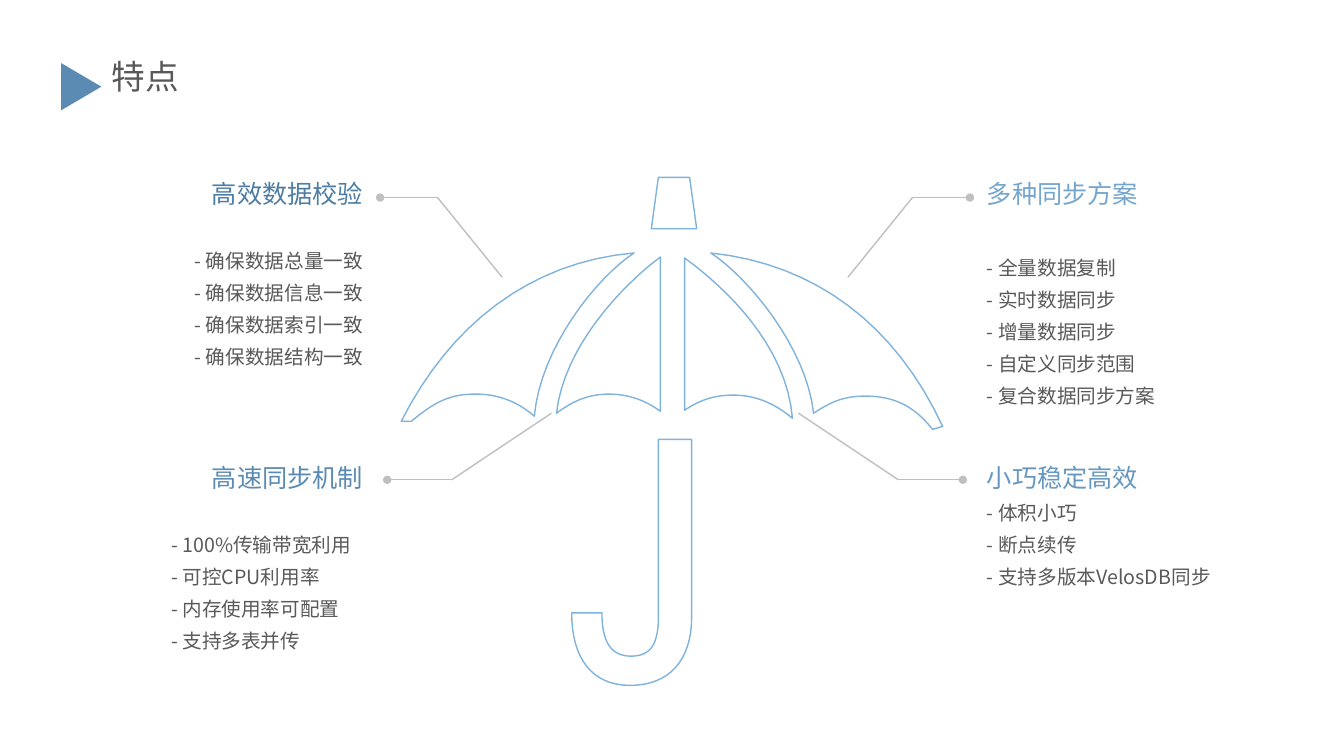
from dataclasses import dataclass

from lxml import etree
from pptx import Presentation
from pptx.dml.color import RGBColor
from pptx.enum.shapes import MSO_CONNECTOR, MSO_SHAPE
from pptx.enum.text import MSO_ANCHOR, PP_ALIGN
from pptx.oxml.ns import qn
from pptx.util import Inches, Pt


@dataclass(frozen=True)
class Theme:
    font: str = "Noto Sans CJK SC"
    paper: str = "FFFFFF"
    body: str = "595959"
    accent: str = "5B8BB2"
    outline: str = "80B3DB"
    leader: str = "BFBFBF"
    title_size: int = 24
    heading_size: int = 18
    item_size: int = 14
    line_height: float = 1.2
    space_before: int = 6
    stroke: int = 1


@dataclass(frozen=True)
class Box:
    left: float
    top: float
    width: float
    height: float


@dataclass(frozen=True)
class Feature:
    heading: str
    items: tuple
    color: str
    box: Box
    on_left: bool
    reach: tuple
    drops: tuple
    gap: float = 0
    item_align: PP_ALIGN = PP_ALIGN.LEFT
    item_indent: float = 0


THEME = Theme()

UPPER_REACH, UPPER_DROPS = (0.07, 0.64, 1.28), (0.24, 1.03)
LOWER_REACH, LOWER_DROPS = (0.14, 0.78, 1.77), (0.22, -0.44)

FEATURES = (
    Feature("高效数据校验",
            ("- 确保数据总量一致", "- 确保数据信息一致", "- 确保数据索引一致", "- 确保数据结构一致"),
            "4E7DA3", Box(0.6, 1.72, 3.1, 2), True, UPPER_REACH, UPPER_DROPS,
            gap=22.8, item_align=PP_ALIGN.RIGHT),
    Feature("高速同步机制",
            ("- 100%传输带宽利用", "- 可控CPU利用率", "- 内存使用率可配置", "- 支持多表并传"),
            "5B8BB2", Box(0.6, 4.54, 3.1, 2), True, LOWER_REACH, LOWER_DROPS,
            gap=22.8, item_indent=1),
    Feature("多种同步方案",
            ("- 全量数据复制", "- 实时数据同步", "- 增量数据同步", "- 自定义同步范围", "- 复合数据同步方案"),
            "74A6CD", Box(9.69, 1.72, 3.1, 2.39), False, UPPER_REACH, UPPER_DROPS, gap=27.6),
    Feature("小巧稳定高效",
            ("- 体积小巧", "- 断点续传", "- 支持多版本VelosDB同步"),
            "6798C0", Box(9.69, 4.54, 3.1, 1.36), False, LOWER_REACH, LOWER_DROPS),
)

UMBRELLA_PARTS = (
    ((3.29, 1.51),
     ((2.92, 1.75), (2.36, 2.45), (2.3, 3.13)),
     ((2.13, 2.98), (1.93, 2.91), (1.72, 2.91)),
     ((1.48, 2.91), (1.33, 2.97), (1.08, 3.18)),
     ((0.98, 3.18),),
     ((1.46, 2.23), (2.25, 1.6), (3.29, 1.51))),
    ((3.86, 3.36),
     ((3.86, 5.12),),
     ((3.86, 5.56), (3.63, 5.8), (3.25, 5.8)),
     ((2.87, 5.8), (2.67, 5.53), (2.67, 5.08)),
     ((2.97, 5.08),),
     ((2.97, 5.37), (3.06, 5.51), (3.26, 5.51)),
     ((3.46, 5.51), (3.53, 5.38), (3.53, 5.12)),
     ((3.53, 3.36),)),
    ((4.05, 1.51),
     ((5.09, 1.62), (5.88, 2.22), (6.35, 3.23)),
     ((6.25, 3.26),),
     ((6.06, 3.02), (5.86, 2.93), (5.58, 2.93)),
     ((5.38, 2.93), (5.25, 2.98), (5.07, 3.1)),
     ((5, 2.45), (4.42, 1.75), (4.05, 1.51))),
    ((3.53, 0.76), ((3.84, 0.76),), ((3.91, 1.27),), ((3.46, 1.27),)),
    ((3.79, 1.56),
     ((4.19, 1.85), (4.8, 2.42), (4.86, 3.15)),
     ((4.67, 2.99), (4.48, 2.92), (4.27, 2.92)),
     ((4.08, 2.92), (3.94, 2.97), (3.79, 3.07))),
    ((3.55, 1.55),
     ((3.55, 3.08),),
     ((3.4, 2.97), (3.23, 2.91), (3.04, 2.91)),
     ((2.85, 2.91), (2.69, 2.97), (2.52, 3.1)),
     ((2.59, 2.45), (3.16, 1.84), (3.55, 1.55))),
)


def rgb(color):
    return RGBColor.from_string(color)


def style_paragraph(paragraph, size, color, align=PP_ALIGN.LEFT, before=0):
    paragraph.alignment = align
    paragraph.space_before = Pt(before)
    paragraph.line_spacing = Pt(size * THEME.line_height)
    for run in paragraph.runs:
        run.font.size = Pt(size)
        run.font.color.rgb = rgb(color)
        run.font.name = THEME.font
        east_asian = etree.SubElement(run.font._element, qn("a:ea"))
        east_asian.set("typeface", THEME.font)


def add_text_frame(slide, box):
    frame = slide.shapes.add_textbox(
        Inches(box.left), Inches(box.top), Inches(box.width), Inches(box.height)
    ).text_frame
    frame.word_wrap = True
    frame.vertical_anchor = MSO_ANCHOR.TOP
    return frame


def add_title(slide, box, title):
    marker = slide.shapes.add_shape(
        MSO_SHAPE.ISOSCELES_TRIANGLE, Inches(box.left), Inches(box.top + 0.15),
        Inches(0.47), Inches(0.4))
    marker.rotation = 90
    marker.shadow.inherit = False
    marker.fill.solid()
    marker.fill.fore_color.rgb = rgb(THEME.accent)
    marker.line.fill.background()
    frame = add_text_frame(slide, Box(box.left + 0.44, box.top, box.width - 0.44, box.height))
    frame.text = title
    style_paragraph(frame.paragraphs[0], THEME.title_size, THEME.body)


def curve_points(start, first_pull, second_pull, end, steps=16):
    for step in range(1, steps + 1):
        t = step / steps
        weights = ((1 - t) ** 3, 3 * t * (1 - t) ** 2, 3 * t * t * (1 - t), t ** 3)
        yield tuple(
            sum(weight * value for weight, value in zip(weights, axis))
            for axis in zip(start, first_pull, second_pull, end))


def add_umbrella(slide, box):
    for start, *edges in UMBRELLA_PARTS:
        corners = [start]
        for edge in edges:
            corners.extend(curve_points(corners[-1], *edge) if len(edge) == 3 else edge)
        placed = [(Inches(box.left + x), Inches(box.top + y)) for x, y in corners]
        builder = slide.shapes.build_freeform(*placed[0])
        builder.add_line_segments(placed[1:], close=True)
        part = builder.convert_to_shape()
        part.shadow.inherit = False
        part.fill.solid()
        part.fill.fore_color.rgb = rgb(THEME.paper)
        part.line.color.rgb = rgb(THEME.outline)
        part.line.width = Pt(THEME.stroke)


def add_leader_line(slide, start, end, dotted=False):
    leader = slide.shapes.add_connector(
        MSO_CONNECTOR.STRAIGHT, *(Inches(value) for value in start + end))
    leader.line.color.rgb = rgb(THEME.leader)
    leader.line.width = Pt(THEME.stroke)
    if dotted:
        dot = etree.SubElement(leader.line._get_or_add_ln(), qn("a:tailEnd"))
        dot.set("type", "oval")
    etree.SubElement(leader._element.spPr, qn("a:effectLst"))


def add_feature(slide, feature):
    box = feature.box
    edge, direction = (box.left + box.width, 1) if feature.on_left else (box.left, -1)
    dot_x, elbow_x, tip_x = (edge + direction * reach for reach in feature.reach)
    level_y, tip_y = (box.top + drop for drop in feature.drops)
    add_leader_line(slide, (tip_x, tip_y), (elbow_x, level_y))
    add_leader_line(slide, (elbow_x, level_y), (dot_x, level_y), dotted=True)

    frame = add_text_frame(slide, box)
    frame.text = "\n".join((feature.heading,) + feature.items)
    heading, *items = frame.paragraphs
    heading_align = PP_ALIGN.RIGHT if feature.on_left else PP_ALIGN.LEFT
    style_paragraph(heading, THEME.heading_size, feature.color, heading_align)
    for index, item in enumerate(items):
        before = THEME.space_before + (feature.gap if index == 0 else 0)
        style_paragraph(item, THEME.item_size, THEME.body, feature.item_align, before)
        if feature.item_indent:
            item._p.get_or_add_pPr().set("marL", str(Inches(feature.item_indent)))


def main():
    deck = Presentation()
    deck.slide_width, deck.slide_height = Inches(13.33), Inches(7.5)
    slide = deck.slides.add_slide(deck.slide_layouts[6])
    add_umbrella(slide, Box(3, 1, 7.33, 6))
    for feature in FEATURES:
        add_feature(slide, feature)
    add_title(slide, Box(0.57, 0.51, 3.7, 0.5), "特点")
    deck.save("out.pptx")


if __name__ == "__main__":
    main()
